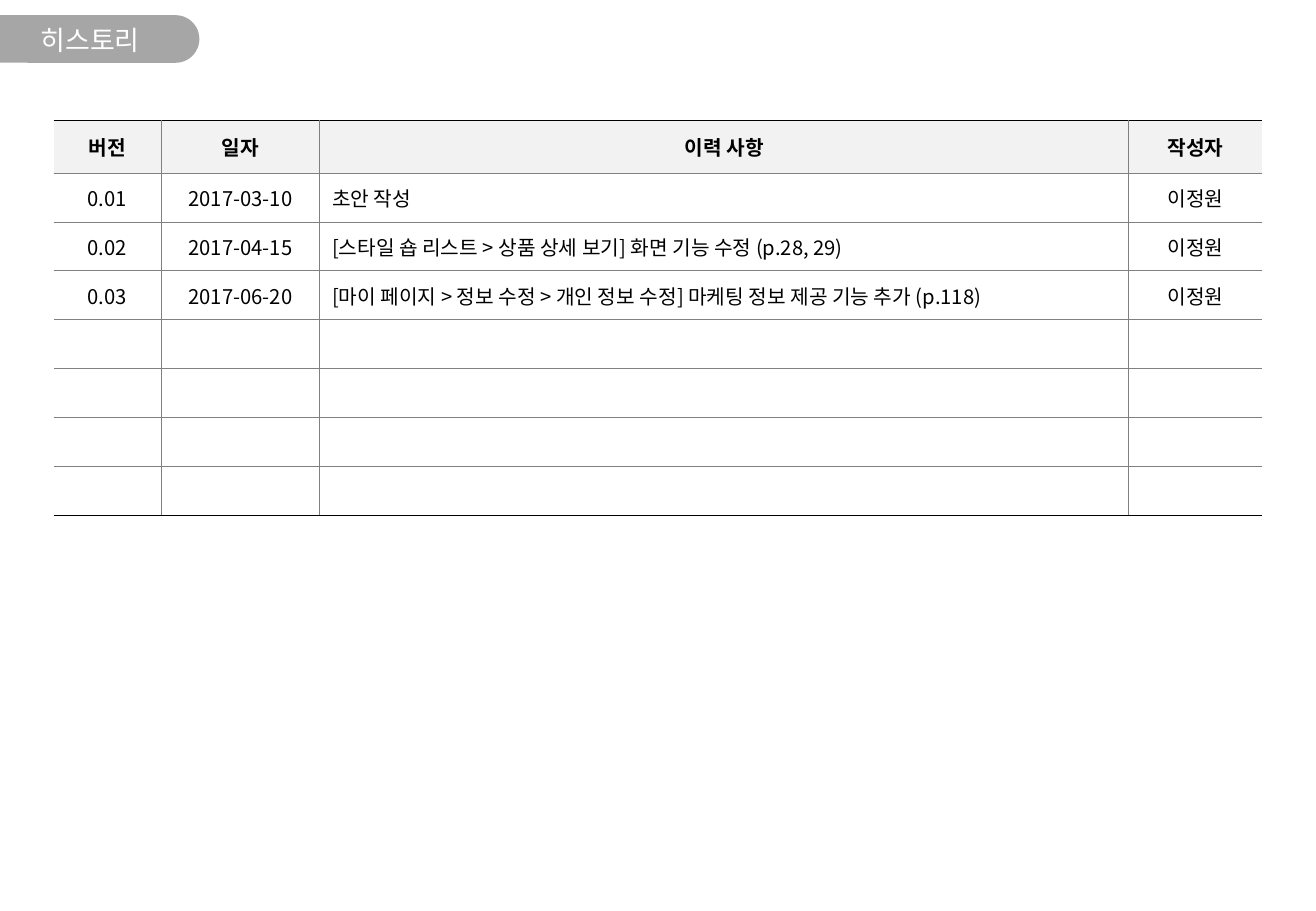
from dataclasses import dataclass

from pptx import Presentation
from pptx.dml.color import RGBColor
from pptx.enum.shapes import MSO_SHAPE
from pptx.enum.text import MSO_ANCHOR, MSO_AUTO_SIZE, PP_ALIGN
from pptx.oxml.ns import qn
from pptx.util import Emu, Pt
from lxml.etree import SubElement

EMU_PER_PX = 7620


@dataclass(frozen=True)
class Theme:
    font: str = "Noto Sans CJK KR"
    title_size: int = 16
    table_size: int = 12
    tab: str = "A6A6A6"
    title: str = "FFFFFF"
    text: str = "000000"
    header: str = "F2F2F2"
    grid: str = "808080"
    edge: str = "000000"
    grid_width: float = 0.5
    edge_width: float = 0.75


THEME = Theme()

COLUMN_WIDTHS = [106, 157, 799, 132]
HEADER_HEIGHT = 52
HISTORY_COLUMN = 2
ROWS = [
    ["버전", "일자", "이력 사항", "작성자"],
    ["0.01", "2017-03-10", "초안 작성", "이정원"],
    ["0.02", "2017-04-15", "[스타일 숍 리스트 > 상품 상세 보기] 화면 기능 수정 (p.28, 29)", "이정원"],
    ["0.03", "2017-06-20", "[마이 페이지 > 정보 수정 > 개인 정보 수정] 마케팅 정보 제공 기능 추가 (p.118)", "이정원"],
] + [[""] * 4] * 4


def px(length):
    return Emu(length * EMU_PER_PX)


def format_paragraph(paragraph, size, color, align, bold=False):
    paragraph.alignment = align
    font = paragraph.font
    font.name, font.size, font.bold = THEME.font, Pt(size), bold
    font.color.rgb = RGBColor.from_string(color)
    properties = paragraph._p.pPr.find(qn("a:defRPr"))
    SubElement(properties, qn("a:ea"), typeface=THEME.font)


def add_border(cell, side, color, width):
    line = SubElement(cell._tc.get_or_add_tcPr(), qn(f"a:ln{side}"), w=str(Pt(width)))
    if color is None:
        SubElement(line, qn("a:noFill"))
    else:
        fill = SubElement(line, qn("a:solidFill"))
        SubElement(fill, qn("a:srgbClr"), val=color)


def add_borders(cell, row, column):
    grid = (THEME.grid, THEME.grid_width)
    edge = (THEME.edge, THEME.edge_width)
    hidden = (None, 0)
    add_border(cell, "L", *(hidden if column == 0 else grid))
    add_border(cell, "R", *(hidden if column == len(COLUMN_WIDTHS) - 1 else grid))
    add_border(cell, "T", *(edge if row == 0 else grid))
    add_border(cell, "B", *(edge if row == len(ROWS) - 1 else grid))


def add_title_tab(slide, left, top, width, height):
    inset = (width - height) // 2
    tab = slide.shapes.add_shape(
        MSO_SHAPE.ROUND_2_SAME_RECTANGLE,
        px(left + inset), px(top - inset), px(height), px(width),
    )
    tab.rotation = 270
    tab.adjustments[0], tab.adjustments[1] = 0, 0.5
    tab.shadow.inherit = False
    tab.fill.solid()
    tab.fill.fore_color.rgb = RGBColor.from_string(THEME.tab)
    tab.line.fill.background()

    title = slide.shapes.title
    title.left, title.top = px(left - 1), px(top + 1)
    title.width, title.height = px(width - 17), px(height)
    frame = title.text_frame
    frame.text = "히스토리"
    frame.word_wrap = True
    frame.auto_size = MSO_AUTO_SIZE.NONE
    frame.vertical_anchor = MSO_ANCHOR.MIDDLE
    format_paragraph(frame.paragraphs[0], THEME.title_size, THEME.title, PP_ALIGN.CENTER)
    tab._element.addnext(title._element)


def add_history_table(slide, left, top, width, height):
    table = slide.shapes.add_table(
        len(ROWS), len(COLUMN_WIDTHS), px(left), px(top), px(width), px(height)
    ).table
    table.first_row = table.horz_banding = False
    for column, column_width in zip(table.columns, COLUMN_WIDTHS):
        column.width = px(column_width)
    body_height = Emu(px(height - HEADER_HEIGHT) // (len(ROWS) - 1))
    for row, texts in enumerate(ROWS):
        is_header = row == 0
        table.rows[row].height = px(HEADER_HEIGHT) if is_header else body_height
        for column, text in enumerate(texts):
            cell = table.cell(row, column)
            cell.text = text
            cell.vertical_anchor = MSO_ANCHOR.MIDDLE
            add_borders(cell, row, column)
            if is_header:
                cell.fill.solid()
                cell.fill.fore_color.rgb = RGBColor.from_string(THEME.header)
            else:
                cell.fill.background()
            is_left = column == HISTORY_COLUMN and not is_header
            align = PP_ALIGN.LEFT if is_left else PP_ALIGN.CENTER
            format_paragraph(
                cell.text_frame.paragraphs[0], THEME.table_size, THEME.text, align, is_header
            )


def main():
    presentation = Presentation()
    presentation.slide_width, presentation.slide_height = px(1300), px(900)
    slide = presentation.slides.add_slide(presentation.slide_layouts[5])
    add_title_tab(slide, 0, 15, 197, 47)
    add_history_table(slide, 53, 119, sum(COLUMN_WIDTHS), 390)
    presentation.save("out.pptx")


if __name__ == "__main__":
    main()
